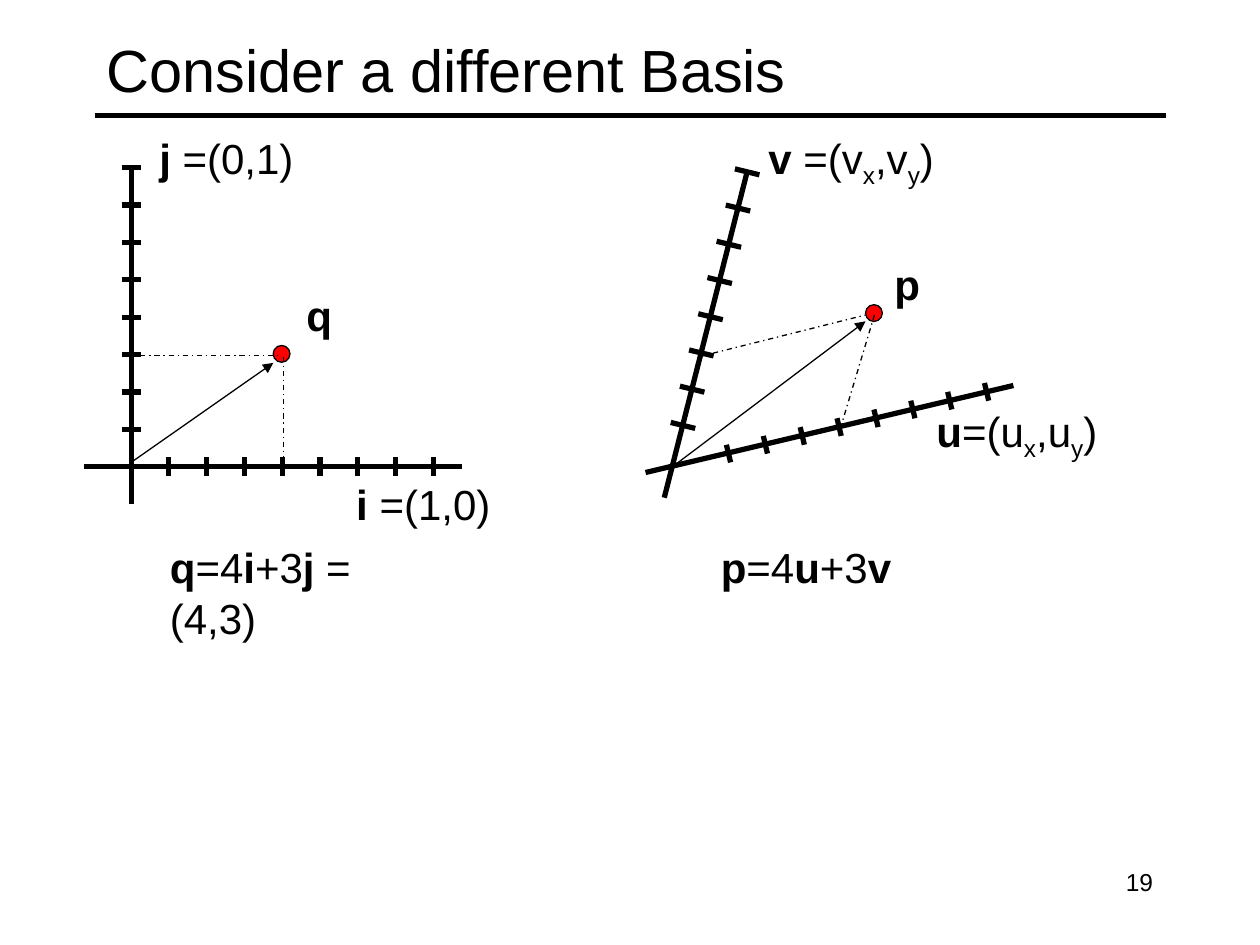
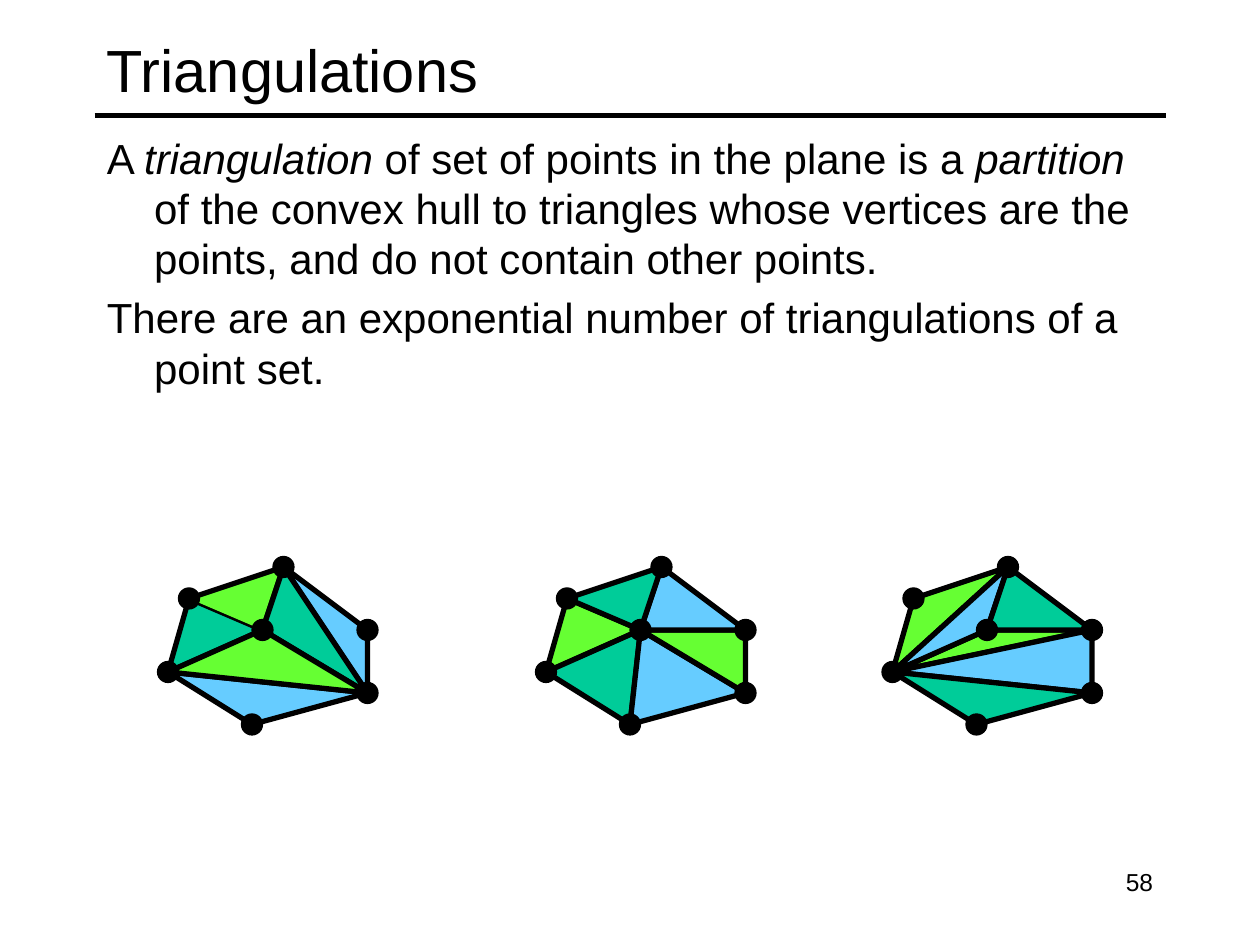
from lxml.etree import SubElement
from pptx import Presentation
from pptx.dml.color import RGBColor
from pptx.enum.dml import MSO_LINE
from pptx.enum.shapes import MSO_CONNECTOR, MSO_SHAPE
from pptx.enum.text import MSO_ANCHOR, PP_ALIGN
from pptx.oxml.ns import qn
from pptx.util import Pt

BLACK, RED = "000000", "FF0000"
SKY, TEAL, LIME = "66CCFF", "00CC99", "66FF33"
FONT = "Arial"
HEAVY, THIN = 3, 0.75

# Each axis: start, end, first tick centre, step between ticks, half a tick
TICKS = 8
AXES = [
    ((48, 266.6), (264, 266.6), (96.5, 266.6), (21.6, 0), (0, 5.4)),
    ((75, 96), (75, 288), (75, 245.4), (0, -21.37), (5.4, 0)),
    ((368.9, 270), (579.1, 220.3), (416.3, 259.2), (21.07, -5.04), (1.2, 5.04)),
    ((427, 98), (379.6, 284.4), (390.3, 243.1), (5.24, -20.7), (7, 1.7)),
]
GUIDES = [
    ((72, 203), (158.4, 203)),
    ((162, 203.8), (162, 264.2)),
    ((399.6, 203.8), (494.6, 180)),
    ((480.2, 244.8), (499.7, 180)),
]
VECTORS = [((75, 264.2), (156.2, 207.4)), ((383.8, 267.1), (494.6, 183.6))]
POINTS = [(160.9, 202.2), (499.4, 178.9)]
POINT_SIZE = 9.6

# Each label: left, top, width, runs of (text, style); b is bold, _ is subscript
LABELS = [
    (84, 72, 91.4, [("j", "b"), (" =(0,1)", "")]),
    (196.5, 270, 91.4, [("i", "b"), (" =(1,0)", "")]),
    (168, 162, 28.8, [("q", "b")]),
    (90, 306, 173.5, [("q", "b"), ("=4", ""), ("i", "b"), ("+3", ""),
                      ("j", "b"), (" = (4,3)", "")]),
    (404.8, 306, 111.6, [("p", "b"), ("=4", ""), ("u", "b"), ("+3", ""), ("v", "b")]),
    (432, 72, 110.9, [("v", "b"), (" =(v", ""), ("x", "_"), (",v", ""),
                      ("y", "_"), (")", "")]),
    (528, 228, 108.7, [("u", "b"), ("=(u", ""), ("x", "_"), (",u", ""),
                       ("y", "_"), (")", "")]),
    (504, 144, 28.8, [("p", "b")]),
]

DEFINITION = [
    [("A ", ""), ("triangulation", "i"), (" of set of points in the plane is a ", ""),
     ("partition", "i"),
     (" of the convex hull to triangles whose vertices are the points, "
      "and do not contain other points.", "")],
    [("There are an exponential number of triangulations of a point set.", "")],
]

VERTICES = {
    "top": (66, 0), "hub": (54, 36), "upper": (12, 18), "right": (114, 36),
    "left": (0, 60), "bottom": (48, 90), "lower": (114, 72),
}
VERTEX_SIZE = 12
TRIANGULATIONS_TOP = 324
# Left edge, then triangles from back to front
TRIANGULATIONS = [
    (96, [("top right lower", SKY), ("lower bottom left", SKY),
          ("left upper hub", TEAL), ("upper top hub", LIME),
          ("hub top lower", TEAL), ("left hub lower", LIME)]),
    (312, [("upper hub left", LIME), ("left hub bottom", TEAL),
           ("bottom hub lower", SKY), ("lower hub right", LIME),
           ("right hub top", SKY), ("top hub upper", TEAL)]),
    (510, [("left hub right", LIME), ("left lower right", SKY),
           ("left lower bottom", TEAL), ("left upper top", LIME),
           ("left top hub", SKY), ("top hub right", TEAL)]),
]
OPEN_TRIANGLE = (96, "upper top hub")  # its closing edge is not stroked


def color(value):
    return RGBColor.from_string(value)


def add_text(slide, box, paragraphs, size=24, wrap=True, anchor=MSO_ANCHOR.TOP,
             align=PP_ALIGN.LEFT, hanging=0, gap=0):
    """Place paragraphs, each a list of (text, style) runs."""
    frame = slide.shapes.add_textbox(*map(Pt, box)).text_frame
    frame.word_wrap = wrap
    frame.vertical_anchor = anchor
    for index, runs in enumerate(paragraphs):
        paragraph = frame.add_paragraph() if index else frame.paragraphs[0]
        paragraph.alignment = align
        if index:
            paragraph.space_before = Pt(gap)
        if hanging:
            properties = paragraph._p.get_or_add_pPr()
            properties.set("marL", str(Pt(hanging)))
            properties.set("indent", str(-Pt(hanging)))
        for text, style in runs:
            run = paragraph.add_run()
            run.text = text
            font = run.font
            font.name, font.size = FONT, Pt(size)
            font.color.rgb = color(BLACK)
            font.bold, font.italic = style == "b", style == "i"
            if style == "_":
                run._r.get_or_add_rPr().set("baseline", "-25000")


def add_line(slide, start, end, width=HEAVY, dash=None, arrow=False):
    connector = slide.shapes.add_connector(
        MSO_CONNECTOR.STRAIGHT, *map(Pt, (*start, *end)))
    line = connector.line
    line.color.rgb = color(BLACK)
    line.width = Pt(width)
    if dash:
        line.dash_style = dash
    if arrow:
        SubElement(line._get_or_add_ln(), qn("a:tailEnd"), type="triangle")
    SubElement(connector._element.spPr, qn("a:effectLst"))


def paint(shape, fill, width):
    shape.shadow.inherit = False
    shape.fill.solid()
    shape.fill.fore_color.rgb = color(fill)
    shape.line.color.rgb = color(BLACK)
    shape.line.width = Pt(width)


def add_dot(slide, center, size, fill):
    x, y = center
    box = (x - size / 2, y - size / 2, size, size)
    paint(slide.shapes.add_shape(MSO_SHAPE.OVAL, *map(Pt, box)), fill, THIN)


def add_slide(presentation, title, number):
    """Start a slide with its title, rule and page number."""
    slide = presentation.slides.add_slide(presentation.slide_layouts[6])
    add_line(slide, (54, 66), (666, 66))
    add_text(slide, (54, 6, 612, 66), [[(title, "")]], size=34,
             anchor=MSO_ANCHOR.MIDDLE)
    add_text(slide, (516, 492, 150, 36), [[(str(number), "")]], size=14,
             align=PP_ALIGN.RIGHT)
    return slide


def add_axis(slide, start, end, first, step, half):
    add_line(slide, start, end)
    for index in range(TICKS):
        x, y = (origin + index * delta for origin, delta in zip(first, step))
        add_line(slide, (x - half[0], y - half[1]), (x + half[0], y + half[1]))


def add_triangulation(slide, left, triangles):
    places = {name: (left + x, TRIANGULATIONS_TOP + y)
              for name, (x, y) in VERTICES.items()}
    for names, fill in triangles:
        first, *others = [tuple(map(Pt, places[name])) for name in names.split()]
        builder = slide.shapes.build_freeform(*first)
        builder.add_line_segments(others, close=(left, names) != OPEN_TRIANGLE)
        paint(builder.convert_to_shape(), fill, HEAVY)
    for center in places.values():
        add_dot(slide, center, VERTEX_SIZE, BLACK)


def build_basis_slide(presentation):
    slide = add_slide(presentation, "Consider a different Basis", 19)
    for axis in AXES:
        add_axis(slide, *axis)
    for center in POINTS:
        add_dot(slide, center, POINT_SIZE, RED)
    for start, end in GUIDES:
        add_line(slide, start, end, THIN, dash=MSO_LINE.DASH_DOT)
    for start, end in VECTORS:
        add_line(slide, start, end, THIN, arrow=True)
    for left, top, width, runs in LABELS:
        add_text(slide, (left, top, width, 36), [runs], wrap=False)


def build_triangulations_slide(presentation):
    slide = add_slide(presentation, "Triangulations", 58)
    add_text(slide, (54, 72, 612, 200), DEFINITION, hanging=27, gap=4.8)
    for left, triangles in TRIANGULATIONS:
        add_triangulation(slide, left, triangles)


def main():
    presentation = Presentation()
    presentation.slide_width, presentation.slide_height = Pt(720), Pt(540)
    build_basis_slide(presentation)
    build_triangulations_slide(presentation)
    presentation.save("out.pptx")


if __name__ == "__main__":
    main()
